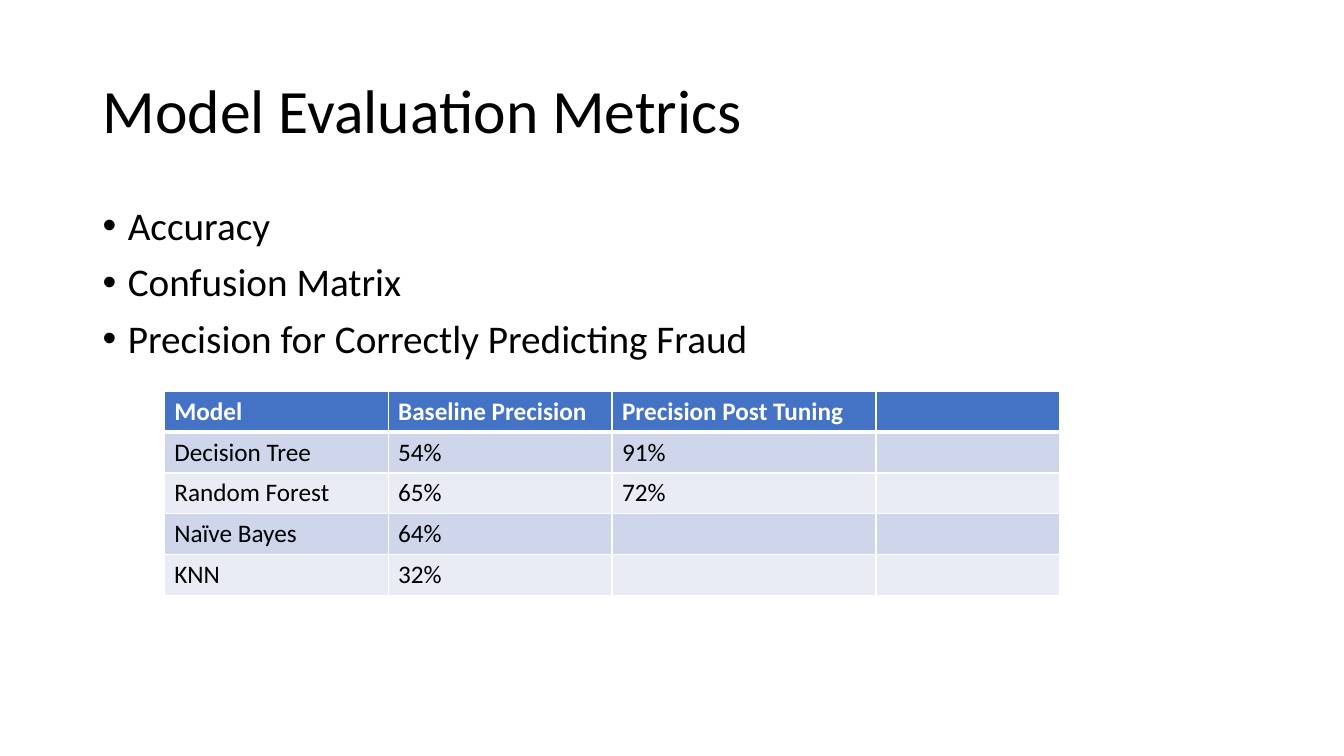
from lxml import etree
from pptx import Presentation
from pptx.dml.color import RGBColor
from pptx.enum.text import MSO_ANCHOR
from pptx.oxml.ns import qn
from pptx.util import Inches, Pt

MIDDLE = MSO_ANCHOR.MIDDLE
FONT = "Calibri"
BLACK, WHITE, BLUE = "000000", "FFFFFF", "4472C4"
BANDS = ["CFD5EA", "E9EBF5"]


def color(value):
    return RGBColor.from_string(value)


def add_text(paragraph, text, size, text_color=BLACK, bold=False):
    run = paragraph.add_run()
    run.text = text
    run.font.name = FONT
    run.font.size = Pt(size)
    run.font.bold = bold
    run.font.color.rgb = color(text_color)


presentation = Presentation()
presentation.slide_width = Inches(13.33)
presentation.slide_height = Inches(7.5)
slide = presentation.slides.add_slide(presentation.slide_layouts[6])

title = slide.shapes.add_textbox(Inches(0.92), Inches(0.4), Inches(11.5), Inches(1.45)).text_frame
title.word_wrap = True
title.vertical_anchor = MIDDLE
title.paragraphs[0].line_spacing = 0.9
add_text(title.paragraphs[0], "Model Evaluation Metrics", 44)

body = slide.shapes.add_textbox(Inches(0.92), Inches(2), Inches(11.5), Inches(4.76)).text_frame
body.word_wrap = True
metrics = ["Accuracy", "Confusion Matrix", "Precision for Correctly Predicting Fraud"]
for index, metric in enumerate(metrics):
    paragraph = body.add_paragraph() if index else body.paragraphs[0]
    paragraph.line_spacing = 0.9
    paragraph.space_before = Pt(10)
    properties = paragraph._p.get_or_add_pPr()
    properties.set("marL", str(Inches(0.25)))
    properties.set("indent", str(-Inches(0.25)))
    etree.SubElement(properties, qn("a:buFont"), typeface="Arial")
    etree.SubElement(properties, qn("a:buChar"), char="•")
    add_text(paragraph, metric, 28)

rows = [
    ["Model", "Baseline Precision", "Precision Post Tuning", ""],
    ["Decision Tree", "54%", "91%", ""],
    ["Random Forest", "65%", "72%", ""],
    ["Naïve Bayes", "64%", "", ""],
    ["KNN", "32%", "", ""],
]
column_widths = [2.22, 2.22, 2.62, 1.82]
table = slide.shapes.add_table(
    len(rows), len(column_widths), Inches(1.63), Inches(3.88), Inches(8.88), Inches(2.03)
).table
for column, width in zip(table.columns, column_widths):
    column.width = Inches(width)

for row_index, row in enumerate(rows):
    header = row_index == 0
    for column_index, text in enumerate(row):
        cell = table.cell(row_index, column_index)
        cell_properties = cell._tc.get_or_add_tcPr()
        for side in "LRTB":
            thick = (header and side == "B") or (row_index == 1 and side == "T")
            line = etree.SubElement(cell_properties, qn(f"a:ln{side}"), w=str(Pt(3 if thick else 1)))
            line_fill = etree.SubElement(line, qn("a:solidFill"))
            etree.SubElement(line_fill, qn("a:srgbClr"), val=WHITE)
        cell.fill.solid()
        cell.fill.fore_color.rgb = color(BLUE if header else BANDS[(row_index - 1) % 2])
        if text:
            add_text(cell.text_frame.paragraphs[0], text, 18, WHITE if header else BLACK, header)

presentation.save("out.pptx")
